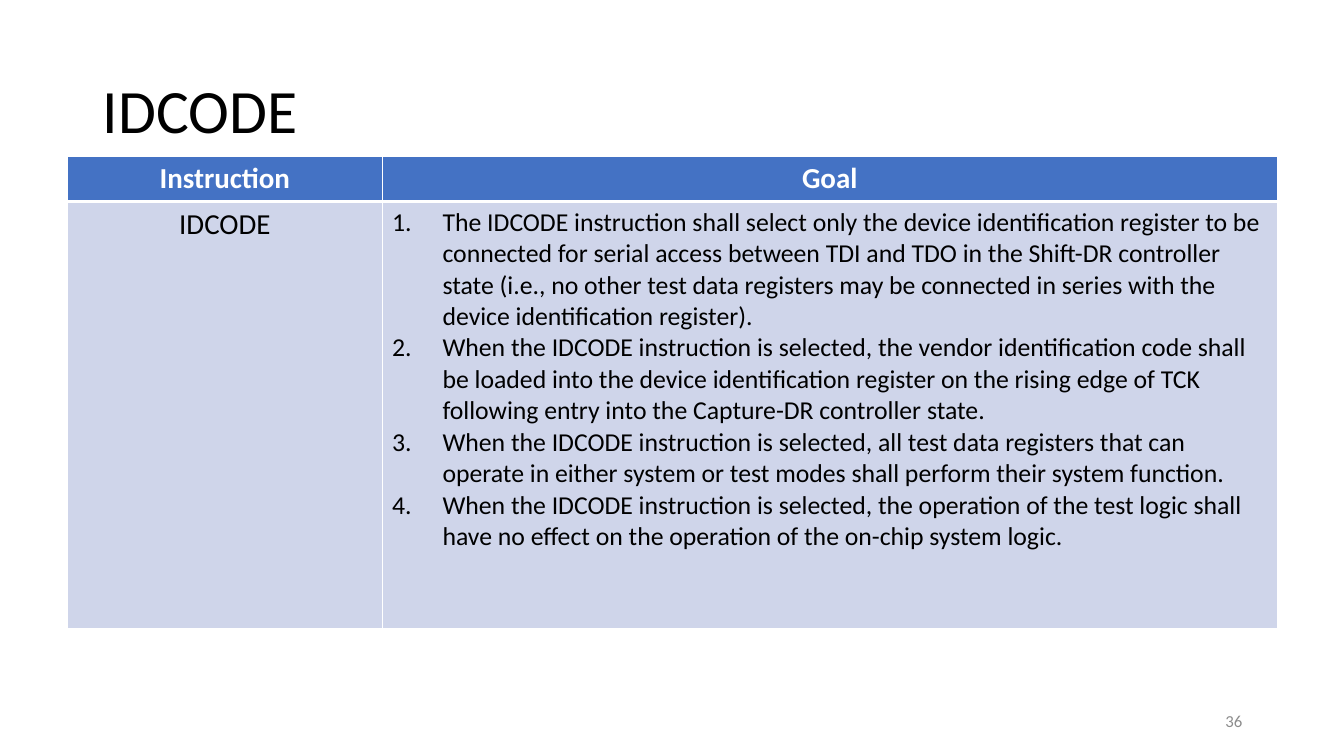
from lxml.etree import SubElement
from pptx import Presentation
from pptx.dml.color import RGBColor
from pptx.enum.text import MSO_ANCHOR as Anchor, PP_ALIGN as Align
from pptx.oxml.ns import qn
from pptx.util import Inches, Pt

COLORS = {"ink": "000000", "white": "FFFFFF", "header": "4472C4",
          "body": "CFD5EA", "number": "8C8C8C"}

GOALS = [
    "The IDCODE instruction shall select only the device identification register "
    "to be connected for serial access between TDI and TDO in the Shift-DR "
    "controller state (i.e., no other test data registers may be connected in "
    "series with the device identification register).",
    "When the IDCODE instruction is selected, the vendor identification code shall "
    "be loaded into the device identification register on the rising edge of TCK "
    "following entry into the Capture-DR controller state.",
    "When the IDCODE instruction is selected, all test data registers that can "
    "operate in either system or test modes shall perform their system function.",
    "When the IDCODE instruction is selected, the operation of the test logic shall "
    "have no effect on the operation of the on-chip system logic.",
]


class SlideBuilder:
    font = "Calibri"

    def __init__(self, slide):
        self.slide = slide

    def add_text_run(self, paragraph, text, size, color, bold=False, align=Align.LEFT):
        paragraph.alignment = align
        run = paragraph.add_run()
        run.text = text
        run.font.name = self.font
        run.font.size = Pt(size)
        run.font.bold = bold
        run.font.color.rgb = RGBColor.from_string(COLORS[color])

    def text(self, box, text, size, color, align=Align.LEFT, line_spacing=1.0):
        frame = self.slide.shapes.add_textbox(*map(Inches, box)).text_frame
        frame.word_wrap = True
        frame.vertical_anchor = Anchor.MIDDLE
        paragraph = frame.paragraphs[0]
        paragraph.line_spacing = line_spacing
        self.add_text_run(paragraph, text, size, color, align=align)

    def table(self, left, top, widths, heights):
        frame = self.slide.shapes.add_table(
            len(heights), len(widths), Inches(left), Inches(top),
            Inches(sum(widths)), Inches(sum(heights)))
        table = frame.table
        table.horz_banding = False
        for column, width in zip(table.columns, widths):
            column.width = Inches(width)
        for row, height in zip(table.rows, heights):
            row.height = Inches(height)
        return table

    def style_cell(self, cell, fill, borders):
        properties = cell._tc.get_or_add_tcPr()
        for side, width in borders.items():
            line = SubElement(properties, qn(f"a:ln{side}"), w=str(Pt(width)))
            solid = SubElement(line, qn("a:solidFill"))
            SubElement(solid, qn("a:srgbClr"), val=COLORS["white"])
        cell.fill.solid()
        cell.fill.fore_color.rgb = RGBColor.from_string(COLORS[fill])

    def numbered_list(self, frame, items, size, color):
        for index, item in enumerate(items):
            paragraph = frame.add_paragraph() if index else frame.paragraphs[0]
            self.add_text_run(paragraph, item, size, color)
            properties = paragraph._p.get_or_add_pPr()
            properties.set("marL", str(Inches(0.5)))
            properties.set("indent", str(-Inches(0.5)))
            SubElement(properties, qn("a:buFont"), typeface="+mj-lt")
            SubElement(properties, qn("a:buAutoNum"), type="arabicPeriod")


presentation = Presentation()
presentation.slide_width = Inches(13.33)
presentation.slide_height = Inches(7.5)
builder = SlideBuilder(presentation.slides.add_slide(presentation.slide_layouts[6]))

# Title
builder.text((0.92, 0.4, 11.5, 1.45), "IDCODE", 44, "ink", line_spacing=0.9)

# Instruction table
table = builder.table(0.67, 1.55, widths=(3.12, 8.88), heights=(0.45, 4.24))
row_styles = [("header", {"L": 1, "R": 1, "T": 1, "B": 3}),
              ("body", {"L": 1, "R": 1, "T": 3, "B": 1})]
for row, (fill, borders) in zip(table.rows, row_styles):
    for cell in row.cells:
        builder.style_cell(cell, fill, borders)

# Table text
for row, column, label, color in [(0, 0, "Instruction", "white"),
                                  (0, 1, "Goal", "white"),
                                  (1, 0, "IDCODE", "ink")]:
    paragraph = table.cell(row, column).text_frame.paragraphs[0]
    builder.add_text_run(paragraph, label, 20.7, color, bold=row == 0,
                         align=Align.CENTER)
builder.numbered_list(table.cell(1, 1).text_frame, GOALS, 18.4, "ink")

# Slide number
builder.text((9.42, 6.95, 3, 0.4), "36", 12, "number", align=Align.RIGHT)

presentation.save("out.pptx")
